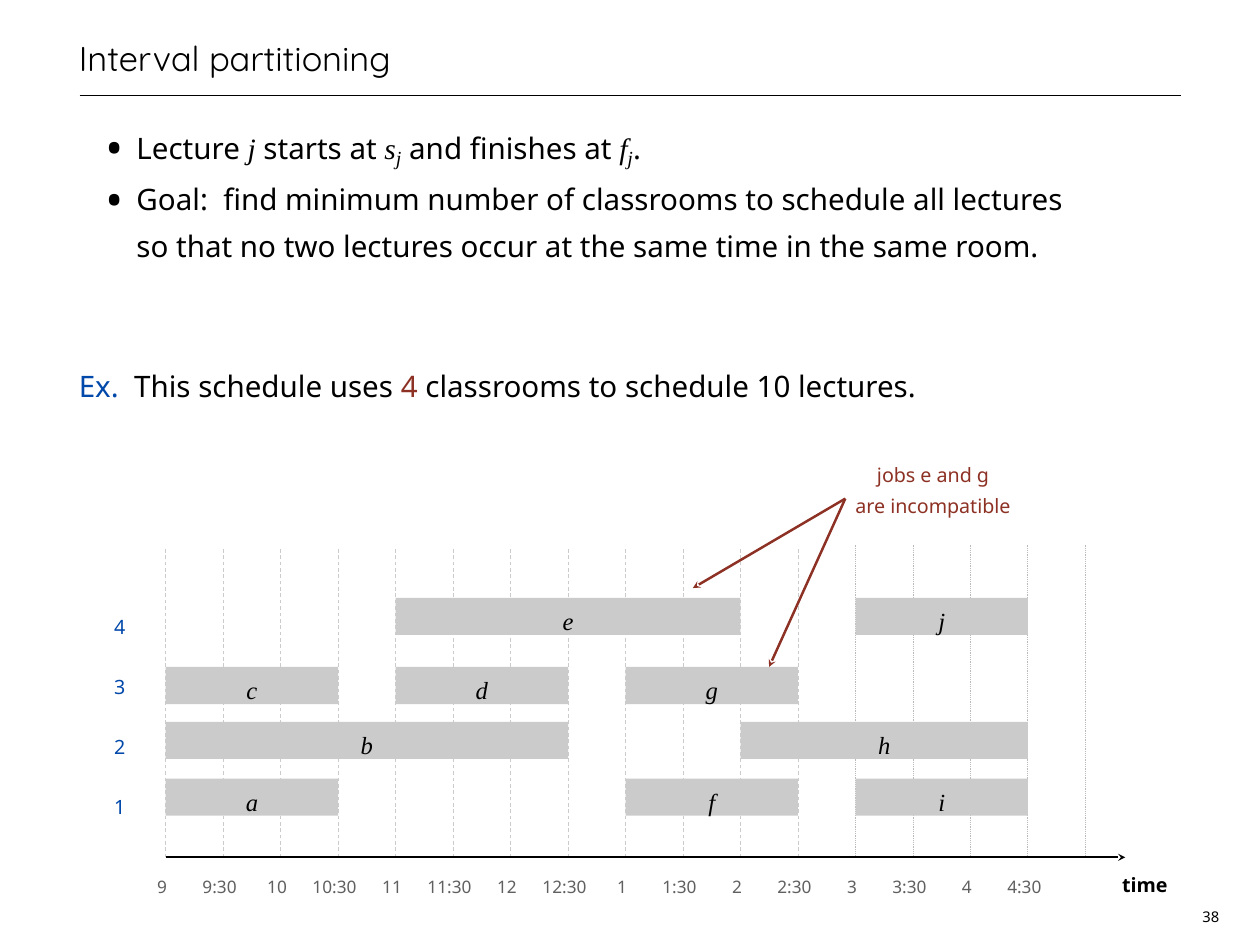
from lxml.etree import SubElement
from pptx import Presentation
from pptx.dml.color import RGBColor
from pptx.enum.dml import MSO_LINE_DASH_STYLE as Dash
from pptx.enum.shapes import MSO_CONNECTOR as Connector, MSO_SHAPE as Shape
from pptx.enum.text import MSO_ANCHOR as Anchor, PP_ALIGN as Align
from pptx.oxml.ns import qn
from pptx.util import Inches, Pt

SANS, SERIF, TITLE_FONT = "Noto Sans", "Times New Roman", "Quicksand"
BLACK, BLUE, RED = "000000", "0048AA", "8D3124"
GREY, LIGHT_GREY, DOT_GREY = "606060", "CBCBCB", "BABABA"

# Time axis: one slot is half an hour
AXIS_LEFT, AXIS_Y = 1.87, 9.68
SLOT = (12.25 - AXIS_LEFT) / 16
TIMES = ["9", "9:30", "10", "10:30", "11", "11:30", "12", "12:30",
         "1", "1:30", "2", "2:30", "3", "3:30", "4", "4:30"]

# Classroom: top of its bars, and lectures as (name, first slot, last slot)
SCHEDULE = {
    4: (6.75, [("e", 4, 10), ("j", 12, 15)]),
    3: (7.53, [("c", 0, 3), ("d", 4, 7), ("g", 8, 11)]),
    2: (8.15, [("b", 0, 7), ("h", 10, 15)]),
    1: (8.79, [("a", 0, 3), ("f", 8, 11), ("i", 12, 15)]),
}


def color(hex_code):
    return RGBColor.from_string(hex_code)


def slot_x(slot):
    return AXIS_LEFT + slot * SLOT


def style(run, size, hex_code, font=SANS, bold=False, italic=False):
    run.font.size, run.font.name = Pt(size), font
    run.font.bold, run.font.italic = bold, italic
    run.font.color.rgb = color(hex_code)


def add_frame(slide, left, top, width, height, inset=0, anchor=Anchor.TOP):
    box = slide.shapes.add_textbox(Inches(left), Inches(top), Inches(width), Inches(height))
    frame = box.text_frame
    frame.word_wrap = True
    frame.vertical_anchor = anchor
    frame.margin_left = frame.margin_right = Inches(inset)
    frame.margin_top = frame.margin_bottom = Inches(inset)
    return frame


def fill_text(frame, text, size, hex_code, spacing=1.3, align=Align.CENTER, **look):
    frame.text = text
    for paragraph in frame.paragraphs:
        paragraph.alignment = align
        paragraph.line_spacing = spacing
        for run in paragraph.runs:
            style(run, size, hex_code, **look)


def add_label(slide, text, center, top, width, height, size, hex_code, **look):
    frame = add_frame(slide, center - width / 2, top, width, height)
    fill_text(frame, text, size, hex_code, **look)


def add_line(slide, start, end, hex_code, width, dash=None, arrow=False):
    line = slide.shapes.add_connector(Connector.STRAIGHT, *map(Inches, start + end))
    line.line.color.rgb = color(hex_code)
    line.line.width = Pt(width)
    if dash:
        line.line.dash_style = dash
    properties = line._element.spPr
    if arrow:
        SubElement(properties.find(qn("a:ln")), qn("a:tailEnd"), type="stealth")
    SubElement(properties, qn("a:effectLst"))


def add_lecture(slide, name, first, last, top):
    bar = slide.shapes.add_shape(Shape.RECTANGLE, Inches(slot_x(first)), Inches(top),
                                 Inches((last - first) * SLOT), Inches(0.42))
    bar.shadow.inherit = False
    bar.fill.solid()
    bar.fill.fore_color.rgb = color(LIGHT_GREY)
    bar.line.fill.background()
    frame = bar.text_frame
    frame.margin_top = frame.margin_bottom = 0
    frame.vertical_anchor = Anchor.MIDDLE
    fill_text(frame, name, 20, BLACK, font=SERIF, italic=True)


def add_statement(paragraph, parts, bullet=False, space_before=0):
    """Parts are (text, kind), where kind is a color, "variable" or "index"."""
    paragraph.line_spacing = Pt(38)
    paragraph.space_before = Pt(space_before)
    for text, kind in parts:
        run = paragraph.add_run()
        run.text = text
        if kind == "index":
            style(run, 28, BLACK, font=SERIF, italic=True)
            run._r.get_or_add_rPr().set("baseline", "-20000")
        elif kind == "variable":
            style(run, 24, BLACK, font=SERIF, italic=True)
        else:
            style(run, 24, kind)
    if bullet:
        properties = paragraph._p.get_or_add_pPr()
        properties.set("marL", str(Inches(0.65)))
        properties.set("indent", str(Inches(-0.35)))
        SubElement(properties, qn("a:buSzPct"), val="160000")
        SubElement(properties, qn("a:buFont"), typeface=SANS)
        SubElement(properties, qn("a:buChar"), char="•")


def add_problem(slide):
    frame = add_frame(slide, 0.89, 1.39, 12.44, 4)
    add_statement(frame.paragraphs[0], [
        ("Lecture ", BLACK), ("j", "variable"), (" starts at ", BLACK),
        ("s", "variable"), ("j", "index"), (" and finishes at ", BLACK),
        ("f", "variable"), ("j", "index"), (".", BLACK)], bullet=True)
    goal = frame.add_paragraph()
    add_statement(goal, [
        ("Goal:  find minimum number of classrooms to schedule all lectures", BLACK)], bullet=True)
    goal.add_line_break()
    add_statement(goal, [
        ("so that no two lectures occur at the same time in the same room.", BLACK)])
    add_statement(frame.add_paragraph(), [
        ("Ex.  ", BLUE), ("This schedule uses ", BLACK), ("4", RED),
        (" classrooms to schedule 10 lectures.", BLACK)], space_before=76)


def add_time_grid(slide):
    for slot in range(17):
        x = slot_x(slot)
        if slot < 12:
            add_line(slide, (x, 9.68), (x, 6.17), LIGHT_GREY, 0.75, Dash.DASH)
        else:
            add_line(slide, (x, 9.66), (x, 6.15), DOT_GREY, 0.75, Dash.ROUND_DOT)
    add_line(slide, (AXIS_LEFT, AXIS_Y), (12.7, AXIS_Y), BLACK, 1.5, arrow=True)
    for slot, time in enumerate(TIMES):
        add_label(slide, time, slot_x(slot) - 0.04, 9.82, 0.6, 0.19, 14, GREY)
    add_label(slide, "time", 12.92, 9.78, 1.04, 0.25, 16, BLACK, bold=True)


def add_schedule(slide):
    for room, (top, lectures) in SCHEDULE.items():
        add_label(slide, str(room), 1.35, 6.86 + (4 - room) * 0.68, 0.15, 0.2, 16, BLUE)
        for name, first, last in lectures:
            add_lecture(slide, name, first, last, top)


def add_conflict(slide):
    add_label(slide, "jobs e and g\nare incompatible", 10.53, 5.15, 1.82, 0.49, 16, RED)
    for target in [(8.68, 7.53), (7.82, 6.64)]:
        add_line(slide, (9.54, 5.63), target, RED, 2, arrow=True)


def main():
    deck = Presentation()
    deck.slide_width, deck.slide_height = Inches(14.22), Inches(10.67)
    slide = deck.slides.add_slide(deck.slide_layouts[6])

    # Heading and page number
    add_line(slide, (0.9, 1.08), (13.33, 1.08), BLACK, 1)
    heading = add_frame(slide, 0.89, 0, 12.44, 0.89, anchor=Anchor.BOTTOM)
    fill_text(heading, "Interval partitioning", 28, BLACK, Pt(38), Align.LEFT, font=TITLE_FONT)
    page_number = add_frame(slide, 13.51, 10.22, 0.31, 0.24, inset=0.04)
    fill_text(page_number, "38", 12, BLACK, Pt(14))

    # Problem statement and example schedule
    add_problem(slide)
    add_time_grid(slide)
    add_schedule(slide)
    add_conflict(slide)

    deck.save("out.pptx")


if __name__ == "__main__":
    main()
